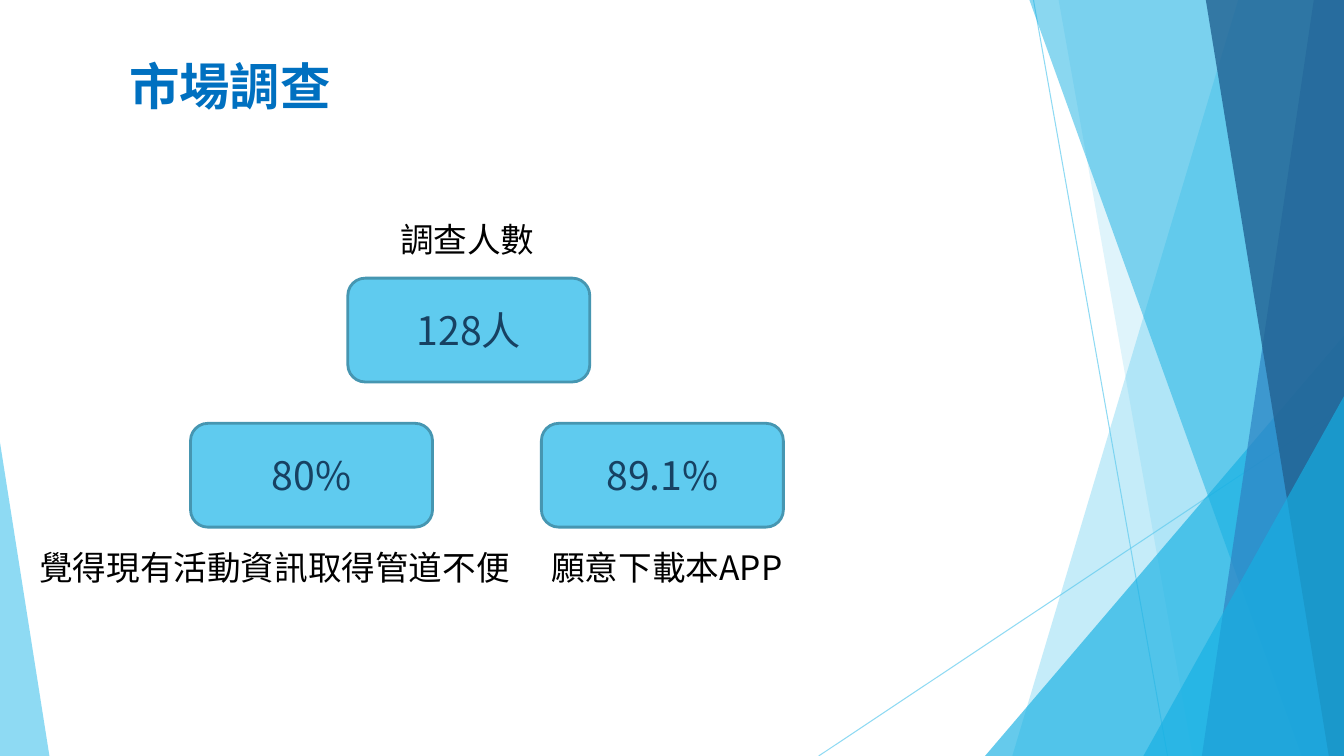
from lxml import etree
from pptx import Presentation
from pptx.dml.color import RGBColor
from pptx.enum.shapes import MSO_CONNECTOR, MSO_SHAPE
from pptx.enum.text import MSO_ANCHOR, MSO_AUTO_SIZE, PP_ALIGN
from pptx.oxml.ns import qn
from pptx.util import Inches, Pt

COLORS = {
    "sky": "5FCBEF", "cyan": "16B0E3", "blue": "2E83C3", "navy": "226292",
    "title": "0070C0", "edge": "4696B1", "figure": "174162", "label": "000000",
}
FONT = "Noto Sans CJK SC"
WIDTH, HEIGHT = 13.33, 7.5


class SlideBuilder:
    def __init__(self, prs):
        self.slide = prs.slides.add_slide(prs.slide_layouts[5])
        self.shapes = self.slide.shapes

    def paint(self, fmt, color, alpha=100):
        """Give a fill solid colour and an opacity in percent."""
        fmt.solid()
        fmt.fore_color.rgb = RGBColor.from_string(COLORS[color])
        if alpha < 100:
            clr = fmt._xPr.find(qn("a:solidFill"))[0]
            etree.SubElement(clr, qn("a:alpha")).set("val", str(alpha * 1000))

    def set_text(self, tf, text, size, color, align=PP_ALIGN.LEFT, bold=False):
        tf.word_wrap = True
        p = tf.paragraphs[0]
        p.text = text
        p.alignment = align
        p.font.size = Pt(size)
        p.font.bold = bold
        p.font.color.rgb = RGBColor.from_string(COLORS[color])
        p.font.name = FONT
        props = p._p.pPr.find(qn("a:defRPr"))
        etree.SubElement(props, qn("a:ea")).set("typeface", FONT)

    def title(self, text, x, y, w, h):
        sp = self.shapes.title
        sp.left, sp.top, sp.width, sp.height = map(Inches, (x, y, w, h))
        tf = sp.text_frame
        tf.auto_size = MSO_AUTO_SIZE.NONE
        tf.vertical_anchor = MSO_ANCHOR.BOTTOM
        tf.margin_bottom = Inches(0.1)
        self.set_text(tf, text, 36, "title", bold=True)

    def line(self, x1, y1, x2, y2):
        ln = self.shapes.add_connector(
            MSO_CONNECTOR.STRAIGHT, *map(Inches, (x1, y1, x2, y2)))
        ln.line.width = Pt(0.75)
        self.paint(ln.line.fill, "sky", 70)
        etree.SubElement(ln._element.spPr, qn("a:effectLst"))

    def plain(self, sp, color, alpha):
        sp.shadow.inherit = False
        self.paint(sp.fill, color, alpha)
        sp.line.fill.background()

    def band(self, top_x, bottom_x, color, alpha):
        """Fill from a slanted left edge to the right side of the slide."""
        fb = self.shapes.build_freeform(Inches(top_x), 0)
        fb.add_line_segments([(Inches(x), Inches(y)) for x, y in (
            (WIDTH, 0), (WIDTH, HEIGHT), (bottom_x, HEIGHT))])
        self.plain(fb.convert_to_shape(), color, alpha)

    def corner(self, x, w, h, apex, color, alpha):
        """Stand a right triangle on the bottom edge; apex 0 is left, 1 right."""
        sp = self.shapes.add_shape(
            MSO_SHAPE.ISOSCELES_TRIANGLE, *map(Inches, (x, HEIGHT - h, w, h)))
        sp.adjustments[0] = apex
        self.plain(sp, color, alpha)

    def figure(self, text, x, y):
        sp = self.shapes.add_shape(
            MSO_SHAPE.ROUNDED_RECTANGLE, *map(Inches, (x, y, 2.4, 1.03)))
        sp.shadow.inherit = False
        self.paint(sp.fill, "sky")
        self.paint(sp.line.fill, "edge")
        sp.line.width = Pt(2)
        sp.text_frame.vertical_anchor = MSO_ANCHOR.MIDDLE
        self.set_text(sp.text_frame, text, 28, "figure", PP_ALIGN.CENTER)

    def label(self, text, x, y, w):
        sp = self.shapes.add_textbox(*map(Inches, (x, y, w, 0.5)))
        self.set_text(sp.text_frame, text, 24, "label")


def main():
    prs = Presentation()
    prs.slide_width, prs.slide_height = Inches(WIDTH), Inches(HEIGHT)
    s = SlideBuilder(prs)

    s.line(10.25, 0, 11.58, HEIGHT)
    s.line(WIDTH, 4.03, 8.12, HEIGHT)
    s.band(12.28, 10.04, "sky", 36)
    s.band(10.5, 11.83, "sky", 20)
    s.corner(9.77, 3.56, 4.17, 1, "cyan", 66)
    s.band(10.21, 12.91, "cyan", 50)
    s.band(13.03, 11.92, "blue", 70)
    s.band(11.96, 13.18, "navy", 80)
    s.corner(11.34, 1.99, 3.57, 1, "cyan", 66)
    s.corner(0, 0.49, 3.11, 0, "sky", 70)

    s.title("市場調查", 1.18, 0, 8.5, 1.25)
    s.figure("128人", 3.45, 2.76)
    s.figure("89.1%", 5.37, 4.2)
    s.figure("80%", 1.89, 4.2)
    s.label("調查人數", 3.87, 2.12, 1.55)
    s.label("覺得現有活動資訊取得管道不便", 0.29, 5.38, 4.91)
    s.label("願意下載本APP", 5.37, 5.38, 2.52)

    prs.save("out.pptx")


if __name__ == "__main__":
    main()
